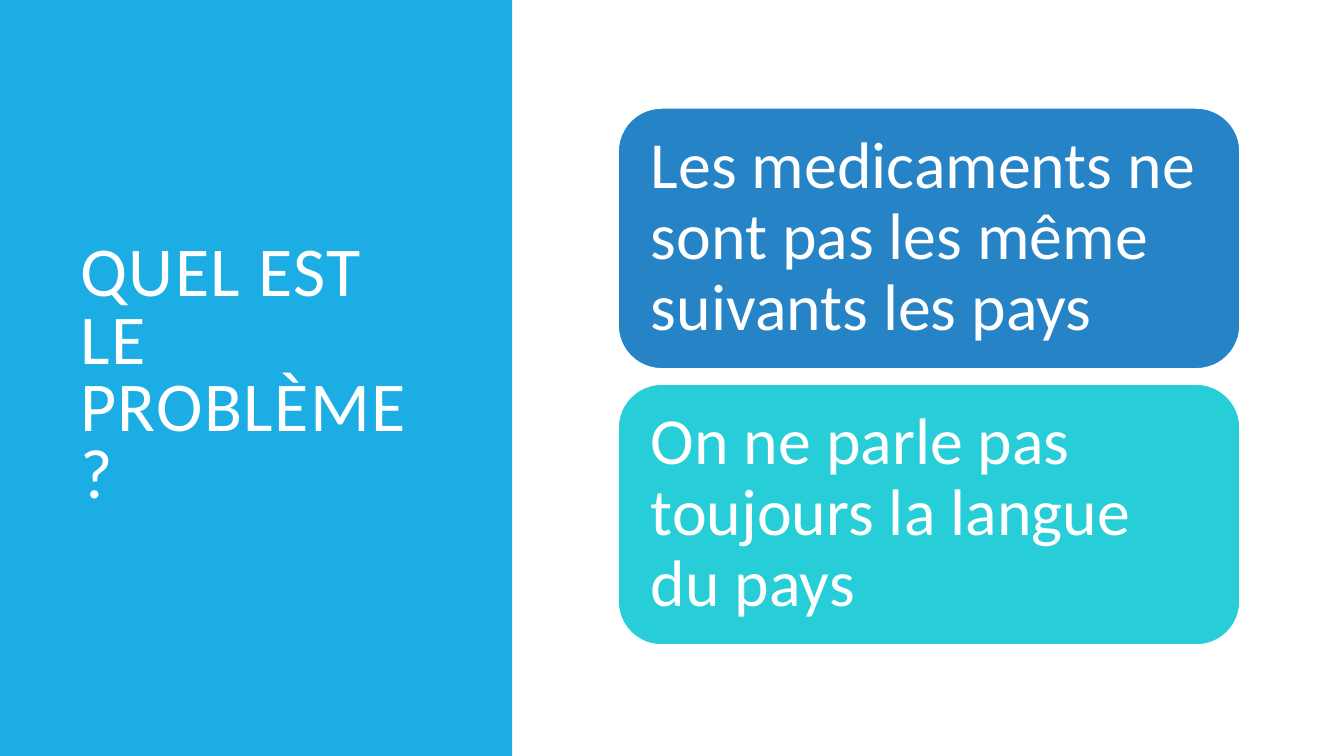
from pptx import Presentation
from pptx.dml.color import RGBColor
from pptx.enum import shapes, text
from pptx.util import Inches, Pt

TITLE = "QUEL EST LE PROBLÈME ?"
CARDS = [
    ("Les medicaments ne sont pas les même suivants les pays", "2683C6"),
    ("On ne parle pas toujours la langue du pays", "27CED7"),
]
THEME = {
    "font": "Calibri", "ink": "FFFFFF", "panel": "1CADE4",
    "title": 50, "card": 47,
}
WIDE, HIGH = 13.33, 7.5
LEFT, TOP, CARD_W, CARD_H, GAP = 6.13, 1.07, 6.17, 2.59, 0.15


def color(code):
    return RGBColor.from_string(code)


def block(slide, kind, box, fill):
    shape = slide.shapes.add_shape(kind, *map(Inches, box))
    shape.shadow.inherit = False
    shape.fill.solid()
    shape.fill.fore_color.rgb = color(fill)
    shape.line.fill.background()
    return shape


def write(shape, words, size, inset, spacing):
    """Fill a shape with one left-aligned, vertically centred paragraph."""
    frame = shape.text_frame
    frame.word_wrap = True
    frame.vertical_anchor = text.MSO_ANCHOR.MIDDLE
    for side, value in inset.items():
        setattr(frame, f"margin_{side}", Inches(value))
    para = frame.paragraphs[0]
    para.alignment = text.PP_ALIGN.LEFT
    para.line_spacing = spacing
    run = para.add_run()
    run.text = words
    for name, value in {"name": THEME["font"], "size": Pt(size)}.items():
        setattr(run.font, name, value)
    run.font.color.rgb = color(THEME["ink"])
    return run


def main():
    deck = Presentation()
    deck.slide_width, deck.slide_height = Inches(WIDE), Inches(HIGH)
    slide = deck.slides.add_slide(deck.slide_layouts[6])
    kinds = shapes.MSO_SHAPE

    block(slide, kinds.RECTANGLE, (0, 0, 5.08, HIGH), THEME["panel"])
    title = slide.shapes.add_textbox(*map(Inches, (0.7, 0.7, 3.74, 6.09)))
    inset = {"left": 0.1, "right": 0.1, "top": 0.05, "bottom": 0.05}
    run = write(title, TITLE, THEME["title"], inset, 0.8)
    run.font._element.set("spc", "100")

    inset = dict.fromkeys(("left", "right", "top", "bottom"), 0.2)
    for row, (words, fill) in enumerate(CARDS):
        box = (LEFT, TOP + row * (CARD_H + GAP), CARD_W, CARD_H)
        card = block(slide, kinds.ROUNDED_RECTANGLE, box, fill)
        card.line.color.rgb = color(THEME["ink"])
        card.line.width = Pt(1.25)
        write(card, words, THEME["card"], inset, 0.9)

    deck.save("out.pptx")


if __name__ == "__main__":
    main()
